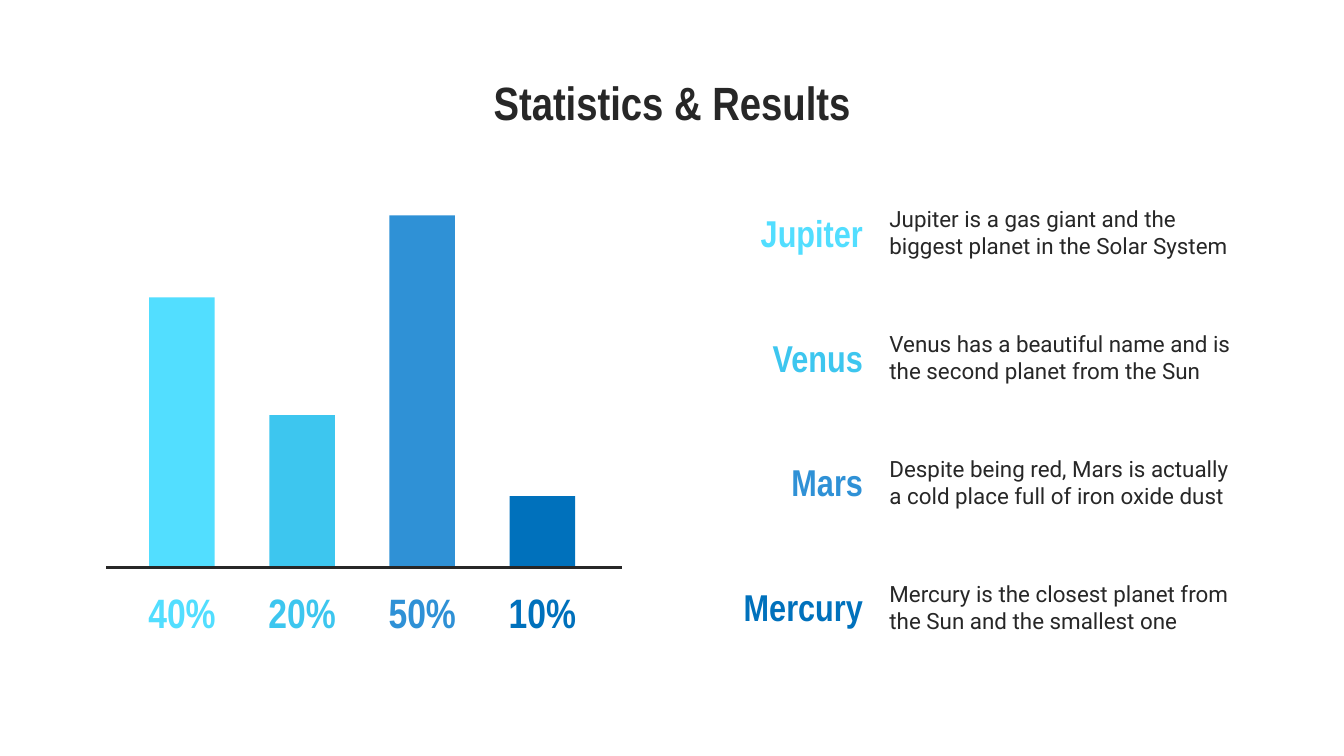
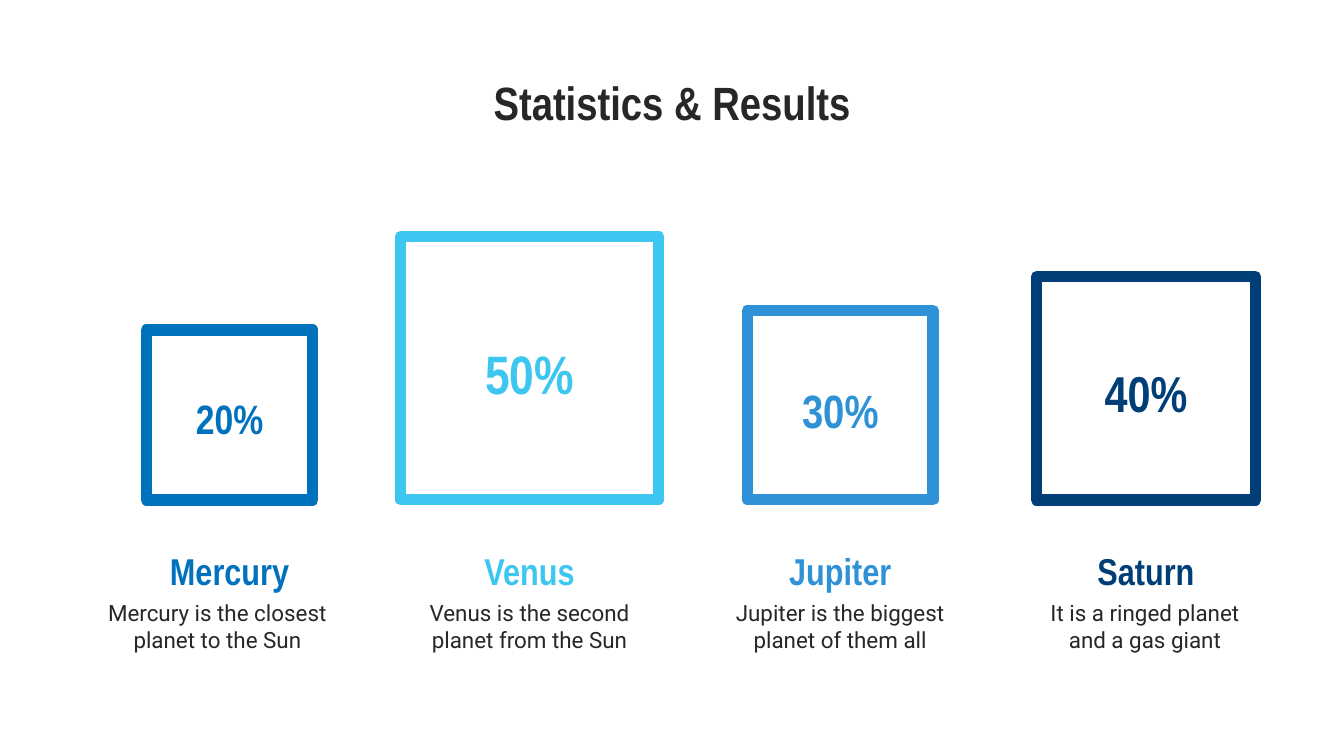
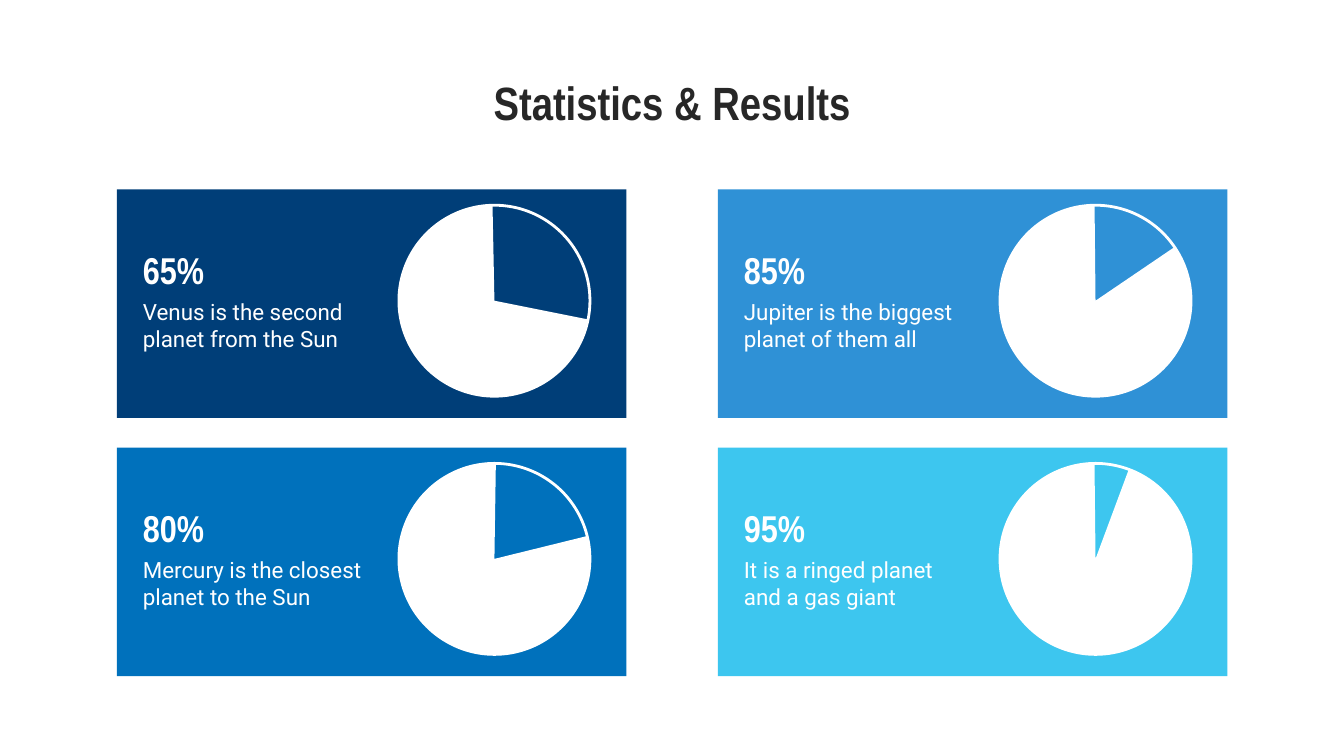
from dataclasses import dataclass
from itertools import product

from lxml.etree import SubElement
from pptx import Presentation
from pptx.dml.color import RGBColor
from pptx.enum.shapes import MSO_CONNECTOR, MSO_SHAPE
from pptx.enum.text import MSO_ANCHOR, PP_ALIGN
from pptx.oxml.ns import qn
from pptx.shapes.autoshape import Shape
from pptx.slide import Slide
from pptx.util import Cm, Pt

INK, WHITE = "272727", "FFFFFF"
AQUA, SKY, BLUE, COBALT, NAVY = "52DEFF", "3DC6EF", "2F91D6", "0071BC", "003E78"
LEFT, CENTER, RIGHT = PP_ALIGN.LEFT, PP_ALIGN.CENTER, PP_ALIGN.RIGHT
TOP, MIDDLE = MSO_ANCHOR.TOP, MSO_ANCHOR.MIDDLE
INSET = 0.25
NAME_W, NAME_H = 4.17, 1.32
DESC_W, DESC_H = 4.88, 1.8


@dataclass(frozen=True)
class Style:
    font: str
    size: float
    bold: bool
    spacing: float = 1.0


TITLE = Style("Arial Narrow", 25, True)
BAR_LABEL = Style("Arial Narrow", 22, True)
NAME = Style("Arial Narrow", 20, True)
SPACED_NAME = Style("Arial Narrow", 20, True, 1.15)
BODY = Style("Roboto", 12, False)


@dataclass(frozen=True)
class Bar:
    percent: str
    height: float
    planet: str
    description: str
    color: str


@dataclass(frozen=True)
class Square:
    planet: str
    percent: str
    size: float
    center: float
    width: float
    description: str
    description_center: float
    color: str


@dataclass(frozen=True)
class Card:
    percent: str
    description: str
    color: str
    start: float
    end: float


BARS = [
    Bar("40%", 5.13, "Jupiter",
        "Jupiter is a gas giant and the biggest planet in the Solar System", AQUA),
    Bar("20%", 2.9, "Venus",
        "Venus has a beautiful name and is the second planet from the Sun", SKY),
    Bar("50%", 6.68, "Mars",
        "Despite being red, Mars is actually a cold place full of iron oxide dust", BLUE),
    Bar("10%", 1.37, "Mercury",
        "Mercury is the closest planet from the Sun and the smallest one", COBALT),
]
SQUARES = [
    Square("Mercury", "20%", 22, 4.34, 3.15,
           "Mercury is the closest planet to the Sun", 4.11, COBALT),
    Square("Venus", "50%", 29, 10.01, 4.88,
           "Venus is the second planet from the Sun", 10.01, SKY),
    Square("Jupiter", "30%", 25, 15.88, 3.51,
           "Jupiter is the biggest planet of them all", 15.88, BLUE),
    Square("Saturn", "40%", 27, 21.66, 4.14,
           "It is a ringed planet and a gas giant", 21.64, NAVY),
]
CARDS = [
    Card("65%", "Venus is the second planet from the Sun", NAVY, 11.33, 268.87),
    Card("85%", "Jupiter is the biggest planet of them all", BLUE, 325.83, 269.44),
    Card("80%", "Mercury is the closest planet to the Sun", COBALT, 346.18, 270.89),
    Card("95%", "It is a ringed planet and a gas giant", SKY, 290.4, 269.4),
]


def rgb(color: str) -> RGBColor:
    return RGBColor.from_string(color)


def add_text(s: Slide, text: str, x: float, y: float, w: float, h: float,
             style: Style, color: str, align: PP_ALIGN = LEFT,
             anchor: MSO_ANCHOR = TOP) -> None:
    tf = s.shapes.add_textbox(Cm(x), Cm(y), Cm(w), Cm(h)).text_frame
    tf.word_wrap = True
    tf.vertical_anchor = anchor
    tf.margin_left = tf.margin_right = tf.margin_top = tf.margin_bottom = Cm(INSET)
    p = tf.paragraphs[0]
    p.text = text
    p.alignment = align
    p.line_spacing = style.spacing
    font = p.runs[0].font
    font.name, font.size, font.bold = style.font, Pt(style.size), style.bold
    font.color.rgb = rgb(color)


def add_figure(s: Slide, kind: MSO_SHAPE, x: float, y: float, w: float, h: float,
               fill: str = "", line: str = "", line_width: float = 0) -> Shape:
    """Add a preset shape; an empty colour means no fill or no line."""
    sp = s.shapes.add_shape(kind, Cm(x), Cm(y), Cm(w), Cm(h))
    sp.shadow.inherit = False
    if fill:
        sp.fill.solid()
        sp.fill.fore_color.rgb = rgb(fill)
    else:
        sp.fill.background()
    if line:
        sp.line.color.rgb = rgb(line)
        sp.line.width = Pt(line_width)
    else:
        sp.line.fill.background()
    return sp


def add_axis(s: Slide, x1: float, x2: float, y: float) -> None:
    line = s.shapes.add_connector(MSO_CONNECTOR.STRAIGHT, Cm(x1), Cm(y), Cm(x2), Cm(y))
    line.line.color.rgb = rgb(INK)
    line.line.width = Pt(1.5)
    SubElement(line._element.spPr, qn("a:effectLst"))


def add_titled_slide(prs: Presentation) -> Slide:
    s = prs.slides.add_slide(prs.slide_layouts[6])
    add_text(s, "Statistics & Results", 1.27, 1.14, 22.86, 1.37, TITLE, INK, CENTER)
    return s


def build_bars(s: Slide) -> None:
    bar_w, label_w, bottom = 1.24, 1.85, 10.75
    name_h, desc_h = 1.37, 1.98
    for i, bar in enumerate(BARS):
        center = 3.44 + 2.27 * i
        add_figure(s, MSO_SHAPE.RECTANGLE, center - bar_w / 2, bottom - bar.height,
                   bar_w, bar.height, bar.color)
        add_text(s, bar.percent, center - label_w / 2, 10.95, label_w, 1.24,
                 BAR_LABEL, bar.color, CENTER, MIDDLE)
        row = 4.39 + 2.36 * i
        add_text(s, bar.planet, 12.75, row - name_h / 2, 3.81, name_h,
                 NAME, bar.color, RIGHT, MIDDLE)
        add_text(s, bar.description, 16.56, row - desc_h / 2, 7.09, desc_h,
                 BODY, INK, LEFT, MIDDLE)
    add_axis(s, 2.01, 11.76, 10.72)


def build_squares(s: Slide) -> None:
    bottom, percent_w, percent_h = 9.45, 3.15, 1.37
    for sq in SQUARES:
        height = sq.width * 1.02
        add_figure(s, MSO_SHAPE.RECTANGLE, sq.center - sq.width / 2, bottom - height,
                   sq.width, height, line=sq.color, line_width=6)
        add_text(s, sq.percent, sq.center - percent_w / 2,
                 bottom - height / 2 - percent_h / 2, percent_w, percent_h,
                 Style("Arial Narrow", sq.size, True, 1.15), sq.color, CENTER, MIDDLE)
        add_text(s, sq.planet, sq.center - NAME_W / 2, 9.98, NAME_W, NAME_H,
                 SPACED_NAME, sq.color, CENTER)
        add_text(s, sq.description, sq.description_center - DESC_W / 2, 11.07,
                 DESC_W, DESC_H, BODY, INK, CENTER)


def build_cards(s: Slide) -> None:
    diameter = 3.61
    for (row, col), card in zip(product(range(2), repeat=2), CARDS):
        x, y = 2.21 + 11.36 * col, 3.58 + 4.88 * row
        add_figure(s, MSO_SHAPE.RECTANGLE, x, y, 9.63, 4.32, card.color)
        circle = (x + 5.33, y + 0.3, diameter, diameter)
        add_figure(s, MSO_SHAPE.OVAL, *circle, line=WHITE, line_width=1.5)
        pie = add_figure(s, MSO_SHAPE.PIE, *circle, fill=WHITE)
        for i, degrees in enumerate((card.start, card.end)):
            pie.adjustments[i] = degrees * 0.6  # 60000 units a degree, scaled by 100000
        add_text(s, card.percent, x + 0.24, y + 0.71, NAME_W, NAME_H, SPACED_NAME, WHITE)
        add_text(s, card.description, x + 0.24, y + 1.8, DESC_W, DESC_H, BODY, WHITE)


def main() -> None:
    prs = Presentation()
    prs.slide_width, prs.slide_height = Cm(25.4), Cm(14.29)
    for build in (build_bars, build_squares, build_cards):
        build(add_titled_slide(prs))
    prs.save("out.pptx")


if __name__ == "__main__":
    main()
